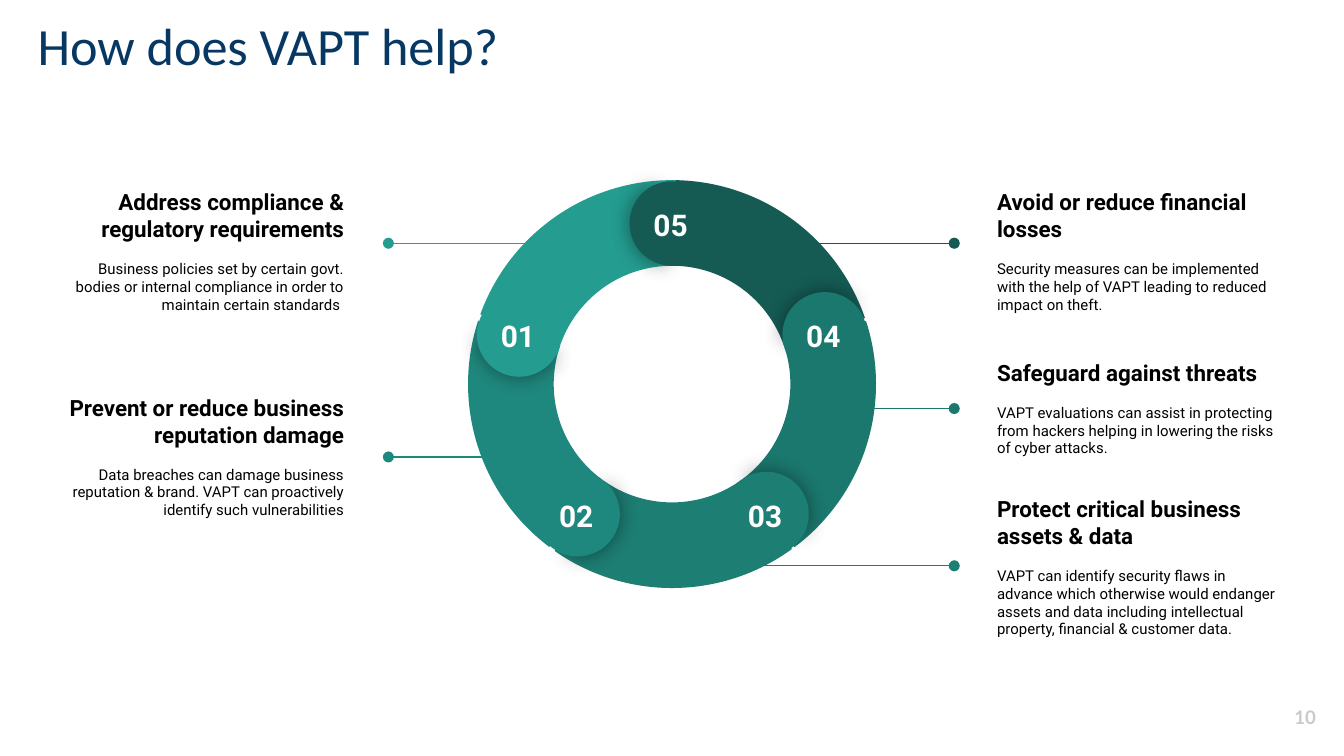
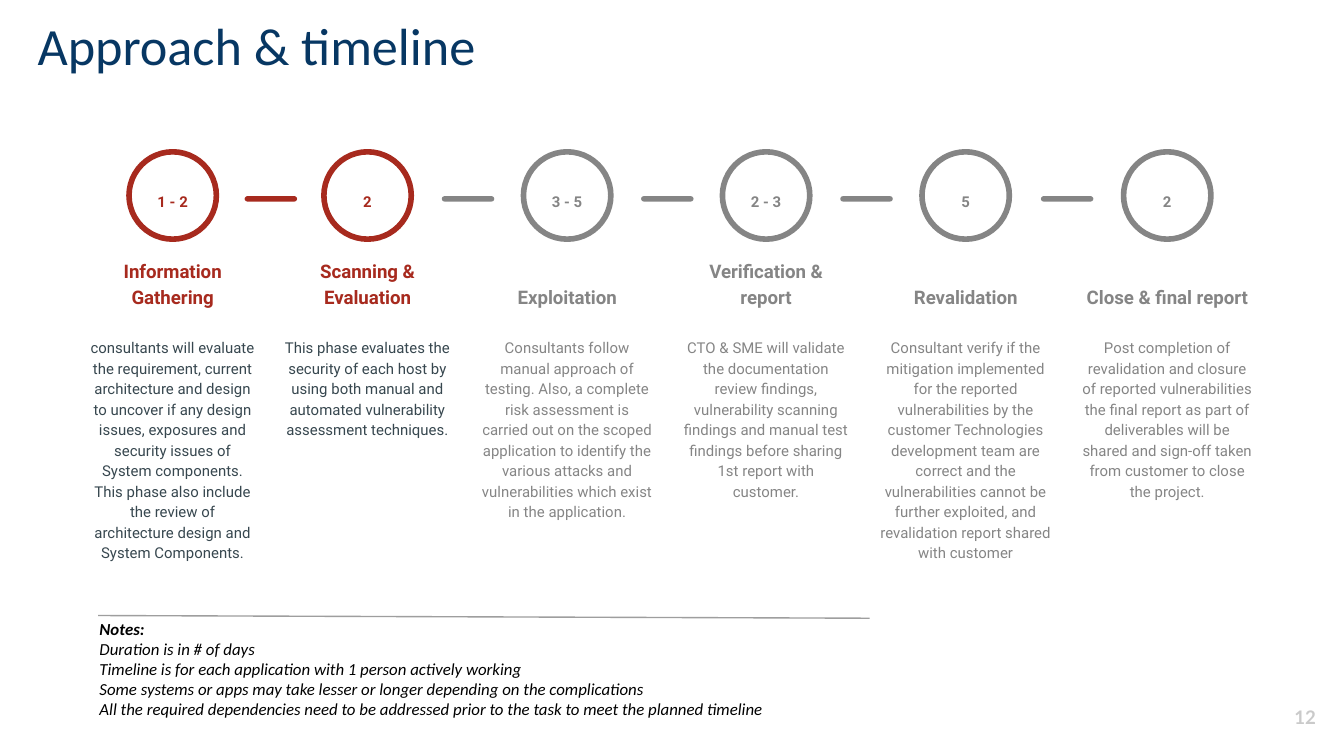
import math

import pptx
import pptx.util
from lxml import etree
from pptx.dml.color import RGBColor
from pptx.enum.shapes import MSO_CONNECTOR, MSO_SHAPE
from pptx.enum.text import MSO_ANCHOR, MSO_AUTO_SIZE, PP_ALIGN
from pptx.oxml.ns import qn

COLORS = {
    "title": "073763", "text": "000000", "number": "CACACA", "white": "FFFFFF",
    "01": "249C90", "02": "1F887E", "03": "1D7E74", "04": "1B786E", "05": "155B54",
    "active": "A72A1E", "active_text": "37474F", "pending": "858585", "rule": "9E9E9E",
}
COLS, ROWS = 100, 56.25  # square grid cells, a tenth of an inch each
CELL = pptx.util.Inches(0.1)

RING_X, RING_Y, RING_SIZE = 50, 28.58, 30.35
CAP_SIZE, CAP_ORBIT = 6.3, 11.95
ARC_TURNS = {"01": 350, "02": 277, "03": 204, "04": 132, "05": 60}
RING_ORDER = ["arc 02", "arc 04", "arc 05", "cap 04", "arc 03", "cap 02",
              "arc 01", "cap 05", "cap 03", "cap 01"]

# number, ring edge x, line y, text top, heading, body
BENEFITS = [
    ("01", 42.3, 18.1, 13.6, "Address compliance & regulatory requirements",
     "Business policies set by certain govt. bodies or internal compliance "
     "in order to maintain certain standards "),
    ("02", 39.1, 34, 28.9, "Prevent or reduce business reputation damage",
     "Data breaches can damage business reputation & brand. VAPT can "
     "proactively identify such vulnerabilities"),
    ("03", 50.9, 42.1, 37.1, "Protect critical business assets & data",
     "VAPT can identify security flaws in advance which otherwise would endanger "
     "assets and data including intellectual property, financial & customer data."),
    ("05", 57, 18.1, 13.6, "Avoid or reduce financial losses",
     "Security measures can be implemented with the help of VAPT leading to "
     "reduced impact on theft."),
    ("04", 61.4, 30.4, 25.3, "Safeguard against threats",
     "VAPT evaluations can assist in protecting from hackers helping in lowering "
     "the risks of cyber attacks."),
]

# state, centre x, text width, days, heading, body
PHASES = [
    ("active", 12.85, 14.3, "1 - 2", "Information Gathering",
     "consultants will evaluate the requirement, current architecture and design to "
     "uncover if any design issues, exposures and security issues of System components. "
     "This phase also include the review of architecture design and System Components."),
    ("active", 27.35, 14.3, "2", "Scanning & Evaluation",
     "This phase evaluates the security of each host by using both manual and automated "
     "vulnerability assessment techniques."),
    ("pending", 42.2, 14.9, "3 - 5", "Exploitation",
     "Consultants follow manual approach of testing. Also, a complete risk assessment is "
     "carried out on the scoped application to identify the various attacks and "
     "vulnerabilities which exist in the application."),
    ("pending", 57, 14.3, "2 - 3", "Verification & report",
     "CTO & SME will validate the documentation review findings, vulnerability scanning "
     "findings and manual test findings before sharing 1st report with customer."),
    ("pending", 71.85, 14.9, "5", "Revalidation",
     "Consultant verify if the mitigation implemented for the reported vulnerabilities by "
     "the customer Technologies development team are correct and the vulnerabilities "
     "cannot be further exploited, and revalidation report shared with customer"),
    ("pending", 86.85, 14.9, "2", "Close & final report",
     "Post completion of revalidation and closure of reported vulnerabilities the final "
     "report as part of deliverables will be shared and sign-off taken from customer to "
     "close the project."),
]

NOTES = [
    "Notes:",
    "Duration is in # of days",
    "Timeline is for each application with 1 person actively working",
    "Some systems or apps may take lesser or longer depending on the complications",
    "All the required dependencies need to be addressed prior to the task to meet "
    "the planned timeline",
]


def grid(*cells):
    return [round(n * CELL) for n in cells]


def rgb(name):
    return RGBColor.from_string(COLORS[name])


def write(p, text, size=8, font="Roboto", color="text", bold=False, italic=False,
          align=PP_ALIGN.LEFT, before=0, spacing=1.0):
    p.alignment, p.line_spacing = align, spacing
    p.space_before, p.space_after = pptx.util.Pt(before), pptx.util.Pt(0)
    r = p.add_run()
    r.text = text
    r.font.size, r.font.name = pptx.util.Pt(size), font
    r.font.bold, r.font.italic = bold, italic
    r.font.color.rgb = rgb(color)


def frame(sp, anchor=MSO_ANCHOR.TOP):
    """Give a text holder the common wrap, insets and anchor."""
    tf = sp.text_frame
    tf.word_wrap, tf.auto_size = True, MSO_AUTO_SIZE.NONE
    tf.vertical_anchor = anchor
    tf.margin_left = tf.margin_right = tf.margin_top = tf.margin_bottom = CELL
    return tf


def text_box(s, x, y, w, h, anchor=MSO_ANCHOR.TOP):
    return frame(s.shapes.add_textbox(*grid(x, y, w, h)), anchor)


def place(sp, x, y, w, h):
    sp.left, sp.top, sp.width, sp.height = grid(x, y, w, h)


def shape(s, kind, x, y, w, h, fill=None, line=None, width=3):
    sp = s.shapes.add_shape(kind, *grid(x, y, w, h))
    sp.shadow.inherit = False
    if fill:
        sp.fill.solid()
        sp.fill.fore_color.rgb = rgb(fill)
    else:
        sp.fill.background()
    if line:
        sp.line.color.rgb, sp.line.width = rgb(line), pptx.util.Pt(width)
    else:
        sp.line.fill.background()
    return sp


def rule(s, x1, y1, x2, y2, color, dot=False):
    c = s.shapes.add_connector(MSO_CONNECTOR.STRAIGHT, *grid(x1, y1, x2, y2))
    c.line.color.rgb, c.line.width = rgb(color), pptx.util.Pt(0.75)
    spPr = c._element.spPr
    if dot:
        etree.SubElement(spPr.find(qn("a:ln")), qn("a:tailEnd"), type="oval")
    etree.SubElement(spPr, qn("a:effectLst"))


def base_slide(prs, layout, title, number):
    s = prs.slides.add_slide(prs.slide_layouts[layout])
    place(s.shapes.title, 1.8, 0, 66.8, 6.7)
    write(frame(s.shapes.title).paragraphs[0], title, size=28, font="Calibri", color="title")
    tf = text_box(s, COLS - 7.1, ROWS - 5.05, 6, 4.3, MSO_ANCHOR.MIDDLE)
    write(tf.paragraphs[0], number, size=10, font="Lato", color="number", bold=True,
          align=PP_ALIGN.RIGHT)
    return s


def benefit(s, number, edge, y, top, heading, body):
    left = edge < COLS / 2
    rule(s, edge, y, 28.9 if left else 71, y, number, dot=True)
    align = PP_ALIGN.RIGHT if left else PP_ALIGN.LEFT
    tf = text_box(s, 3.4 if left else 73.2, top, 23.2, 10.1, MSO_ANCHOR.MIDDLE)
    write(tf.paragraphs[0], heading, size=12, bold=True, align=align)
    write(tf.add_paragraph(), body, align=align, before=9.4)


def sector(s, kind, cx, cy, size, turn, start, end, color):
    """Draw a ring or disc part; angles are degrees, an adjustment unit is 1/0.6 degree."""
    sp = shape(s, kind, cx - size / 2, cy - size / 2, size, size, fill=color)
    sp.rotation = turn % 360
    sp.adjustments[0], sp.adjustments[1] = start * 0.6, end * 0.6
    return sp


def cap_centre(number):
    angle = math.radians(270 - 72 * int(number))
    return RING_X + CAP_ORBIT * math.cos(angle), RING_Y + CAP_ORBIT * math.sin(angle)


def arc(s, number):
    sp = sector(s, MSO_SHAPE.BLOCK_ARC, RING_X, RING_Y, RING_SIZE, ARC_TURNS[number],
                210, 281.1, number)
    sp.adjustments[2] = 0.21


def cap(s, number):
    """Draw a round arc end: a half with a soft shadow, then a half without."""
    cx, cy = cap_centre(number)
    turn = ARC_TURNS[number] - 65
    half = sector(s, MSO_SHAPE.PIE, cx, cy, CAP_SIZE, turn, 103.2, 249.9, number)
    effects = half._element.spPr.find(qn("a:effectLst"))
    shadow = etree.SubElement(effects, qn("a:outerShdw"), blurRad=str(pptx.util.Pt(11.2)),
                              dist="0", dir="0", algn="ctr", rotWithShape="0")
    color = etree.SubElement(shadow, qn("a:srgbClr"), val=COLORS["text"])
    etree.SubElement(color, qn("a:alpha"), val="43000")
    sector(s, MSO_SHAPE.PIE, cx, cy, CAP_SIZE, turn + 179.3, 67.1, 286.4, number)


def ring(s):
    for part in RING_ORDER:
        kind, number = part.split()
        (arc if kind == "arc" else cap)(s, number)
    for number in ARC_TURNS:
        cx, cy = cap_centre(number)
        tf = text_box(s, cx - 2.9, cy - 2.25, 5.6, 2.9)
        write(tf.paragraphs[0], number, size=16, color="white", bold=True,
              align=PP_ALIGN.CENTER)


def phase(s, state, cx, width, days, heading, body):
    shape(s, MSO_SHAPE.OVAL, cx - 3.25, 11.3, 6.5, 6.5, line=state)
    left = cx - width / 2
    body_color = "active_text" if state == "active" else state
    for box, anchor, text, fmt in [
        ((cx - 2.4, 13.1, 4.8, 3.5), MSO_ANCHOR.TOP, days, {"bold": True, "color": state}),
        ((left, 19, width, 4.9), MSO_ANCHOR.BOTTOM, heading,
         {"size": 10, "bold": True, "color": state}),
        ((left, 24, width, 8.1), MSO_ANCHOR.TOP, body, {"color": body_color}),
    ]:
        write(text_box(s, *box, anchor).paragraphs[0], text, align=PP_ALIGN.CENTER,
              spacing=1.15, **fmt)


def dashes(s):
    for (state, x1, *_), (_, x2, *_) in zip(PHASES, PHASES[1:]):
        first = x1 == PHASES[0][1]
        sp = shape(s, MSO_SHAPE.ROUNDED_RECTANGLE, (x1 + x2) / 2 - 1.9, 14.6, 3.9, 0.4,
                   fill=state if first else "pending")
        sp.adjustments[0] = 0.5


def notes_list(s):
    body = s.placeholders[1]
    place(body, 6.4, 45, 82.2, 9.6)
    tf = frame(body)
    for i, note in enumerate(NOTES):
        p = tf.add_paragraph() if i else tf.paragraphs[0]
        write(p, note, size=9, font="Calibri", bold=i == 0, italic=True)
        pPr = p._p.get_or_add_pPr()
        pPr.set("marL", "0")
        pPr.set("indent", "0")
        etree.SubElement(pPr, qn("a:buNone"))
    rule(s, 7.3, 45.8, 64.7, 46, "rule")


def main():
    prs = pptx.Presentation()
    prs.slide_width, prs.slide_height = grid(COLS, ROWS)

    s = base_slide(prs, 5, "How does VAPT help?", "10")
    for item in BENEFITS:
        benefit(s, *item)
    ring(s)

    s = base_slide(prs, 1, "Approach & timeline", "12")
    for item in PHASES:
        phase(s, *item)
    dashes(s)
    notes_list(s)

    prs.save("out.pptx")


if __name__ == "__main__":
    main()
